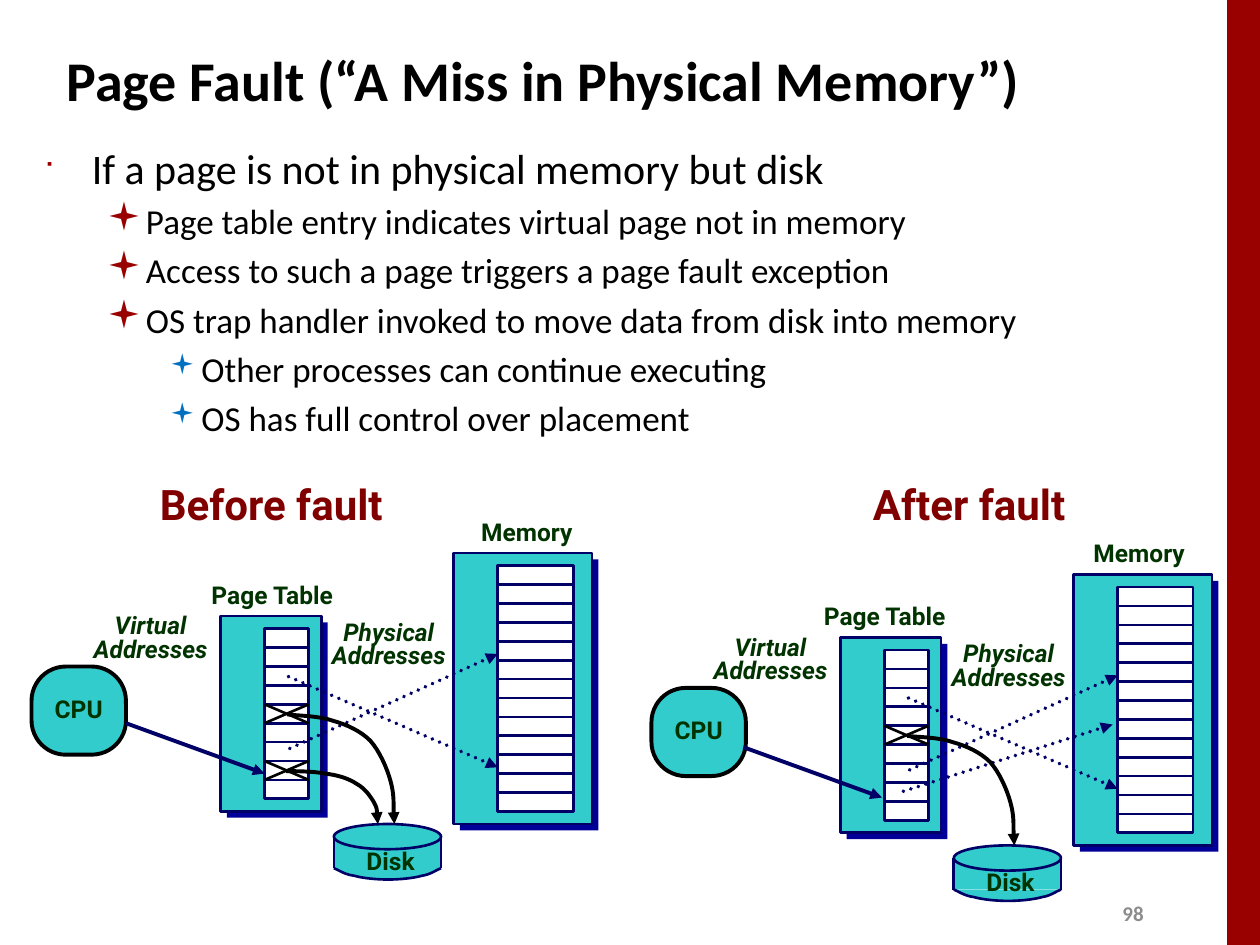
from dataclasses import dataclass
from typing import NamedTuple

from lxml import etree
from pptx import Presentation
from pptx.dml.color import RGBColor
from pptx.enum.dml import MSO_LINE
from pptx.enum.shapes import MSO_CONNECTOR, MSO_SHAPE
from pptx.enum.text import MSO_ANCHOR, MSO_AUTO_SIZE, PP_ALIGN
from pptx.oxml.ns import qn
from pptx.util import Pt

PX = 9144
RECT, ROUND, OVAL = MSO_SHAPE.RECTANGLE, MSO_SHAPE.ROUNDED_RECTANGLE, MSO_SHAPE.OVAL
LINE, DOTS = MSO_CONNECTOR.STRAIGHT, MSO_LINE.ROUND_DOT
LEFT, MID = PP_ALIGN.LEFT, PP_ALIGN.CENTER
TOP, CORE = MSO_ANCHOR.TOP, MSO_ANCHOR.MIDDLE
FIT = MSO_AUTO_SIZE.SHAPE_TO_FIT_TEXT


@dataclass(frozen=True)
class Theme:
    bar: str = "990000"
    teal: str = "33CCCC"
    shade: str = "000099"
    navy: str = "000066"
    black: str = "000000"
    white: str = "FFFFFF"
    green: str = "003300"
    head: str = "800000"
    gray: str = "8C8C8C"
    blue: str = "0070C0"
    body: str = "Calibri"
    mark: str = "Roboto"
    sign: str = "Wingdings"
    title: int = 32
    big: int = 24
    text: int = 20
    small: int = 14
    page: int = 12
    thin: float = 1.5
    thick: float = 2.25
    gap: float = 4.1


T = Theme()
Point = tuple[int, int]
Box = tuple[int, int, int, int]


class Face(NamedTuple):
    font: str
    size: int
    color: str
    bold: bool = True
    slant: bool = False


class Level(NamedTuple):
    left: int
    hang: int
    sign: str
    color: str
    scale: int
    size: int


class Stack(NamedTuple):
    box: Box
    cell: int
    name: str
    label: Box


class Ray(NamedTuple):
    start: Point
    end: Point


@dataclass(frozen=True)
class Scene:
    name: str
    label: Box
    dx: int
    dy: int
    nudge: int
    faults: tuple[int, ...]
    bends: tuple[tuple[Point, ...], ...]
    maps: tuple[Ray, ...]
    fetch: Ray


TAG = Face(T.mark, T.small, T.green)
NOTE = TAG._replace(slant=True)
LEVELS = (
    Level(38, 38, "■", T.bar, 60, T.big),
    Level(81, 31, "▪", T.bar, 110, T.text),
    Level(125, 25, "▪", T.blue, 80, T.text),
)
POINTS = (
    (0, "If a page is not in physical memory but disk"),
    (1, "Page table entry indicates virtual page not in memory"),
    (1, "Access to such a page triggers a page fault exception"),
    (1, "OS trap handler invoked to move data from disk into memory"),
    (2, "Other processes can continue executing"),
    (2, "OS has full control over placement"),
)
MEMORY = Stack((360, 439, 110, 215), 60, "Memory", (372, 408, 94, 31))
TABLE = Stack((175, 489, 80, 155), 35, "Page Table", (158, 458, 122, 31))
LONG = ((228, 567), (234, 568), (253, 568), (264, 572), (275, 575), (286, 580), (294, 588),
        (301, 596), (307, 609), (310, 620), (313, 631), (312, 647), (313, 654))
SHORT = ((227, 612), (233, 612), (249, 612), (258, 614), (268, 615), (277, 618), (283, 622),
         (290, 626), (294, 632), (297, 637), (300, 643), (299, 651), (300, 654))
BASE = ((265, 689), (268, 690), (273, 694), (281, 695), (288, 697), (299, 698), (308, 698),
        (317, 698), (328, 697), (335, 695), (342, 694), (347, 690), (350, 689))
MAPS = (Ray((229, 537), (395, 609)), Ray((230, 594), (395, 519)))
SCENES = (
    Scene("Before fault", (117, 379, 205, 46), 0, 0, 0, (4, 7), (LONG, SHORT), MAPS,
          Ray((100, 574), (210, 614))),
    Scene("After fault", (683, 379, 177, 46), 492, 17, -6, (4,), (LONG,),
          MAPS + (Ray((225, 611), (391, 558)),), Ray((98, 576), (208, 616))),
)


def rgb(code: str) -> RGBColor:
    return RGBColor.from_string(code)


def style(para, face: Face) -> None:
    font = para.font
    font.name, font.size, font.bold, font.italic = face.font, Pt(face.size), face.bold, face.slant
    font.color.rgb = rgb(face.color)


def write(frame, text: str, face: Face, align=LEFT, pitch: float = 0.9) -> None:
    frame.text = text
    for para in frame.paragraphs:
        para.alignment, para.line_spacing = align, pitch
        style(para, face)


def stroke(line, color: str, width: float, tip: bool = False) -> None:
    line.color.rgb, line.width = rgb(color), Pt(width)
    if tip:
        etree.SubElement(line._get_or_add_ln(), qn("a:tailEnd"), type="triangle")


class Board:
    def __init__(self, shapes, dx: int = 0, dy: int = 0) -> None:
        self.shapes, self.dx, self.dy = shapes, dx, dy

    def spot(self, x: int, y: int) -> Point:
        return (x + self.dx) * PX, (y + self.dy) * PX

    def shape(self, kind, box: Box, fill: str, edge: str = "", width: float = T.thin):
        x, y, w, h = box
        item = self.shapes.add_shape(kind, *self.spot(x, y), w * PX, h * PX)
        item.shadow.inherit = False
        item.fill.solid()
        item.fill.fore_color.rgb = rgb(fill)
        if edge:
            stroke(item.line, edge, width)
        else:
            item.line.fill.background()
        return item

    def frame(self, box: Box, wrap: bool = True, anchor=TOP):
        x, y, w, h = box
        frame = self.shapes.add_textbox(*self.spot(x, y), w * PX, h * PX).text_frame
        frame.word_wrap, frame.vertical_anchor = wrap, anchor
        return frame

    def label(self, text: str, box: Box, face: Face, align=LEFT, pitch: float = 0.9) -> None:
        frame = self.frame(box, False)
        frame.auto_size = FIT
        write(frame, text, face, align, pitch)

    def line(self, ray: Ray, color: str, width: float = T.thin, tip: bool = False,
             dots: bool = False) -> None:
        item = self.shapes.add_connector(LINE, *self.spot(*ray.start), *self.spot(*ray.end))
        etree.SubElement(item._element.spPr, qn("a:effectLst"))
        if dots:
            item.line.dash_style = DOTS
            item.line._get_or_add_ln().set("cap", "rnd")
        stroke(item.line, color, width, tip)

    def curve(self, points: tuple[Point, ...], color: str, width: float, fill: str = "",
              tip: bool = False) -> None:
        pen = self.shapes.build_freeform(*self.spot(*points[0]))
        pen.add_line_segments([self.spot(*p) for p in points[1:]], close=False)
        item = pen.convert_to_shape()
        legs = list(item._element.iter(qn("a:lnTo")))
        track = legs[0].getparent()
        for i in range(0, len(legs), 3):
            arc = etree.SubElement(track, qn("a:cubicBezTo"))
            for leg in legs[i:i + 3]:
                arc.append(leg[0])
                track.remove(leg)
        item.shadow.inherit = False
        if fill:
            item.fill.solid()
            item.fill.fore_color.rgb = rgb(fill)
        else:
            item.fill.background()
        stroke(item.line, color, width, tip)

    def stack(self, stack: Stack, nudge: int) -> None:
        x, y, w, h = stack.box
        self.shape(RECT, (x + 5, y + 5, w, h), T.shade)
        self.shape(RECT, stack.box, T.teal, T.navy)
        for row in range((h - 20) // 15):
            self.shape(RECT, (x + 35, y + 10 + 15 * row, stack.cell, 15), T.white, T.navy)
        left, *rest = stack.label
        self.label(stack.name, (left + nudge, *rest), TAG)

    def disk(self) -> None:
        self.shape(RECT, (265, 664, 85, 25), T.teal)
        self.shape(OVAL, (265, 654, 85, 20), T.teal, T.navy)
        for x in (265, 350):
            self.line(Ray((x, 664), (x, 689)), T.navy)
        self.curve(BASE, T.navy, T.thin, T.teal)
        self.label("Disk", (281, 669, 61, 31), TAG)


def draw(shapes, scene: Scene) -> None:
    board = Board(shapes, scene.dx, scene.dy)
    cpu = board.shape(ROUND, (25, 529, 75, 70), T.teal, T.black, T.thick)
    cpu.adjustments[0] = 0.39
    cpu.text_frame.word_wrap, cpu.text_frame.vertical_anchor = False, CORE
    write(cpu.text_frame, "CPU", TAG, MID)
    for stack in (MEMORY, TABLE):
        board.stack(stack, scene.nudge)
    for ray in scene.maps:
        board.line(ray, T.navy, T.thick, True, True)
    for row in scene.faults:
        y = 499 + 15 * row
        board.line(Ray((210, y + 15), (245, y)), T.black)
        board.line(Ray((245, y + 15), (210, y)), T.black)
    board.disk()
    for bend in scene.bends:
        board.curve(bend, T.black, T.thick, tip=True)
    board.label("Virtual\nAddresses", (60, 484, 119, 47), NOTE, MID, 0.8)
    board.label("Physical\nAddresses", (249, 489, 119, 47), NOTE, MID, 0.8)
    board.line(scene.fetch, T.navy, T.thick, True)
    Board(shapes).label(scene.name, scene.label, Face(T.mark, T.big, T.head))


def outline(frame) -> None:
    for i, (depth, text) in enumerate(POINTS):
        para = frame.add_paragraph() if i else frame.paragraphs[0]
        level = LEVELS[depth]
        para.text, para.level = text, depth
        if i:
            para.space_before = Pt(T.gap)
        props = para._p.get_or_add_pPr()
        props.set("marL", str(level.left * PX))
        props.set("indent", str(-level.hang * PX))
        tint = etree.SubElement(props, qn("a:buClr"))
        etree.SubElement(tint, qn("a:srgbClr"), val=level.color)
        etree.SubElement(props, qn("a:buSzPct"), val=str(level.scale * 1000))
        etree.SubElement(props, qn("a:buFont"), typeface=T.sign)
        etree.SubElement(props, qn("a:buChar"), char=level.sign)
        style(para, Face(T.body, level.size, T.black, False))


def main() -> None:
    deck = Presentation()
    deck.slide_width, deck.slide_height = 1000 * PX, 750 * PX
    shapes = deck.slides.add_slide(deck.slide_layouts[6]).shapes
    board = Board(shapes)
    board.shape(RECT, (974, 0, 26, 750), T.bar)
    write(board.frame((881, 710, 40, 30), anchor=CORE), "98",
          Face(T.body, T.page, T.gray), pitch=1.0)
    write(board.frame((43, 21, 830, 83), anchor=CORE), "Page Fault (“A Miss in Physical Memory”)",
          Face(T.body, T.title, T.black), pitch=1.0)
    outline(board.frame((25, 108, 942, 600)))
    for scene in SCENES:
        draw(shapes, scene)
    deck.save("out.pptx")


if __name__ == "__main__":
    main()
